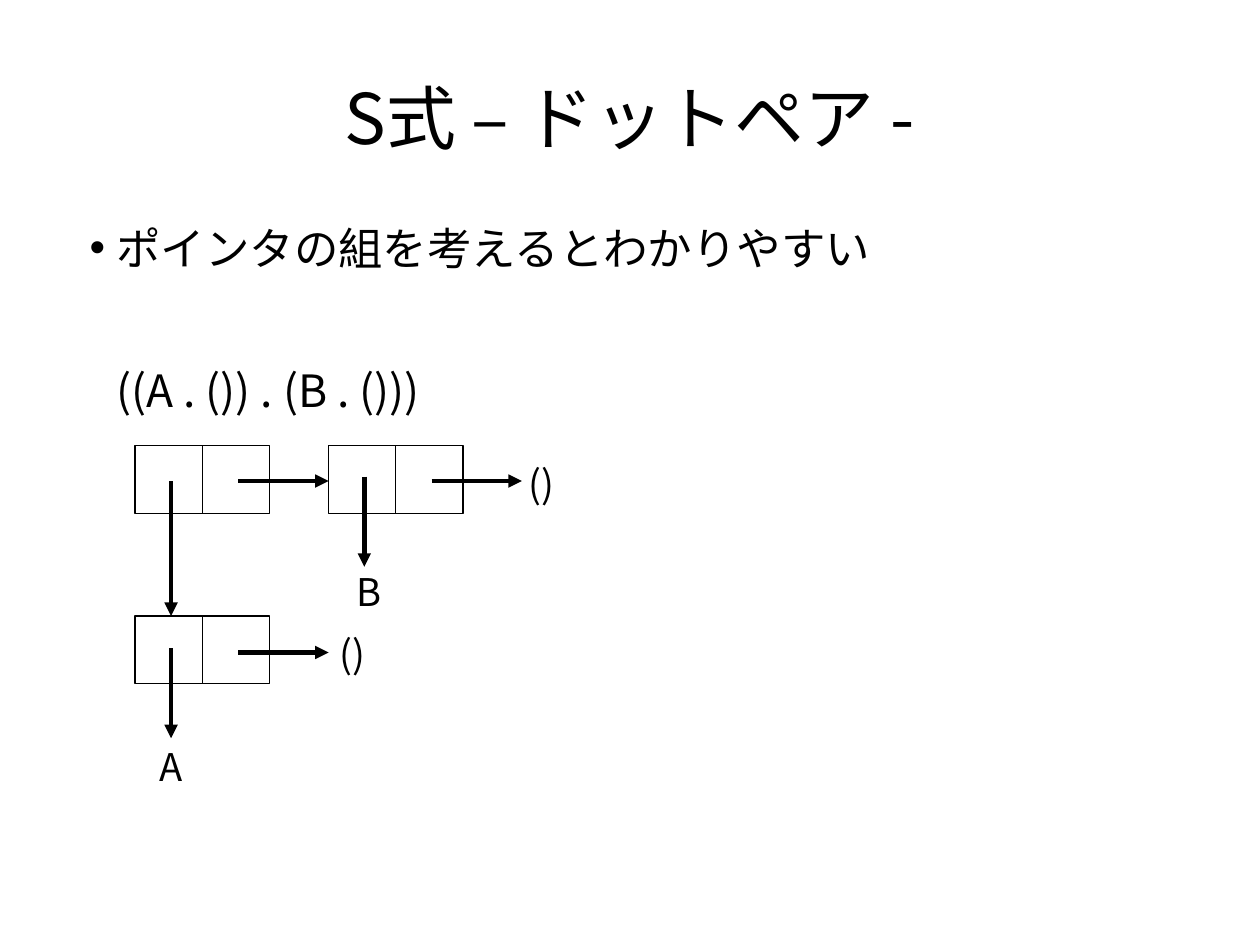
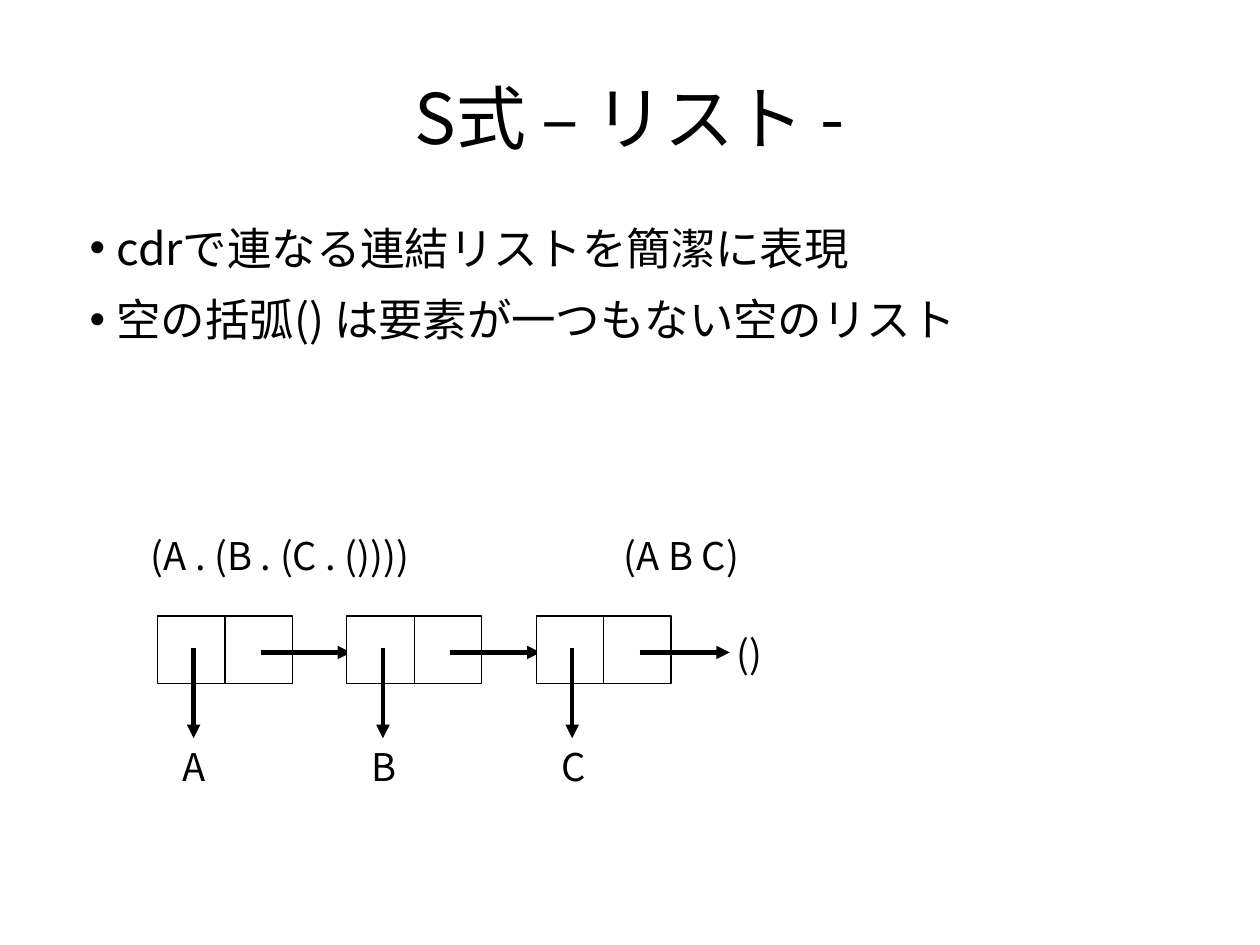
from pptx import Presentation
from pptx.dml.color import RGBColor
from pptx.enum.shapes import MSO_CONNECTOR, MSO_SHAPE
from pptx.enum.text import MSO_ANCHOR, PP_ALIGN
from pptx.oxml.ns import qn
from pptx.util import Pt
from lxml import etree

# Shared look; 288 px to the inch
PX = 3175
FONT, DOT = "Noto Sans CJK JP", "Arial"
INK = {"text": "000000", "line": "000000", "cell": "FFFFFF"}
RECT = MSO_SHAPE.RECTANGLE
LINE = MSO_CONNECTOR.STRAIGHT
LEFT, MID = PP_ALIGN.LEFT, PP_ALIGN.CENTER
TOP, HALF = MSO_ANCHOR.TOP, MSO_ANCHOR.MIDDLE
SIDE = 170    # side of half a cons cell
REACH = 227   # usual arrow length
AFTER = 11.3


def px(*nums):
    return [n * PX for n in nums]


def color(key):
    return RGBColor.from_string(INK[key])


def add_box(slide, at, inset=(0, 0), anchor=TOP):
    frame = slide.shapes.add_textbox(*px(*at)).text_frame
    frame.word_wrap = True
    frame.vertical_anchor = anchor
    frame.margin_left = frame.margin_right = inset[0] * PX
    frame.margin_top = frame.margin_bottom = inset[1] * PX
    return frame


def add_run(para, text, size):
    run = para.add_run()
    run.text = text
    font = run.font
    font.size, font.name = Pt(size), FONT
    font.color.rgb = color("text")
    etree.SubElement(font._element, qn("a:ea"), typeface=FONT)


def add_title(slide, text):
    para = add_box(slide, (158, 109, 2857, 369), anchor=HALF).paragraphs[0]
    para.alignment = MID
    add_run(para, text, 44)


def add_body(slide, items):
    """Items are (text, bulleted, space before in points)."""
    frame = add_box(slide, (158, 556, 2857, 1572))
    for i, (text, dot, before) in enumerate(items):
        para = frame.add_paragraph() if i else frame.paragraphs[0]
        para.space_before, para.space_after = Pt(before), Pt(AFTER)
        props = para._p.get_or_add_pPr()
        props.set("marL", str(136 * PX))
        props.set("indent", str(-68 * PX if dot else 0))
        if dot:
            etree.SubElement(props, qn("a:buFont"), typeface=DOT)
            etree.SubElement(props, qn("a:buChar"), char="•")
        else:
            etree.SubElement(props, qn("a:buNone"))
        add_run(para, text, 28)


def add_label(slide, text, x, y, w=153):
    para = add_box(slide, (x, y, w, 158), (29, 14)).paragraphs[0]
    para.alignment = LEFT
    add_run(para, text, 24)


def add_arrow(slide, x, y, dx, dy):
    arrow = slide.shapes.add_connector(LINE, *px(x, y, x + dx, y + dy))
    arrow.line.color.rgb = color("line")
    arrow.line.width = Pt(2.83)
    etree.SubElement(arrow.line._get_or_add_ln(), qn("a:tailEnd"),
                     type="triangle")
    etree.SubElement(arrow._element.spPr, qn("a:effectLst"))


def add_cell(slide, x, y, car=81, drop=REACH, cdr=92):
    """Two halves, with a pointer down (car) and one right (cdr)."""
    for i in range(2):
        half = slide.shapes.add_shape(
            RECT, *px(x + i * SIDE, y, SIDE, SIDE))
        half.shadow.inherit = False
        half.fill.solid()
        half.fill.fore_color.rgb = color("cell")
        half.line.color.rgb = color("line")
        half.line.width = Pt(0)
    add_arrow(slide, x + 91, y + car, 0, drop)
    add_arrow(slide, x + 261, y + cdr, REACH, 0)


def add_slide(deck, title, items):
    slide = deck.slides.add_slide(deck.slide_layouts[6])
    add_title(slide, title)
    add_body(slide, items)
    return slide


def draw_pair(deck):
    slide = add_slide(deck, "S式 – ドットペア -", [
        ("ポインタの組を考えるとわかりやすい", True, 0),
        ("((A . ()) . (B . ()))", False, 45),
    ])
    x, y, low = 340, 1123, 1552
    next_x = x + 487
    add_cell(slide, x, low)
    add_cell(slide, x, y, car=89, drop=low - y - 89, cdr=89)
    add_cell(slide, next_x, y, car=78, cdr=89)
    add_label(slide, "A", x + 34, low + 306)
    add_label(slide, "B", next_x + 43, y + 294)
    add_label(slide, "()", next_x, low + 23)
    add_label(slide, "()", next_x + 475, y + 23)


def draw_list(deck):
    slide = add_slide(deck, "S式 – リスト -", [
        ("cdrで連なる連結リストを簡潔に表現", True, 0),
        ("空の括弧() は要素が一つもない空のリスト", True, 0),
    ])
    add_label(slide, "(A . (B . (C . ())))", 351, 1327, 1017)
    add_label(slide, "(A B C)", 1543, 1327, 392)
    y = 1552
    for i, name in enumerate("ABC"):
        x = 397 + i * 477
        add_cell(slide, x, y)
        add_label(slide, name, x + 34, y + 306)
    add_label(slide, "()", x + 475, y + 23)


def main():
    deck = Presentation()
    deck.slide_width, deck.slide_height = px(3175, 2381)
    draw_pair(deck)
    draw_list(deck)
    deck.save("out.pptx")


if __name__ == "__main__":
    main()
